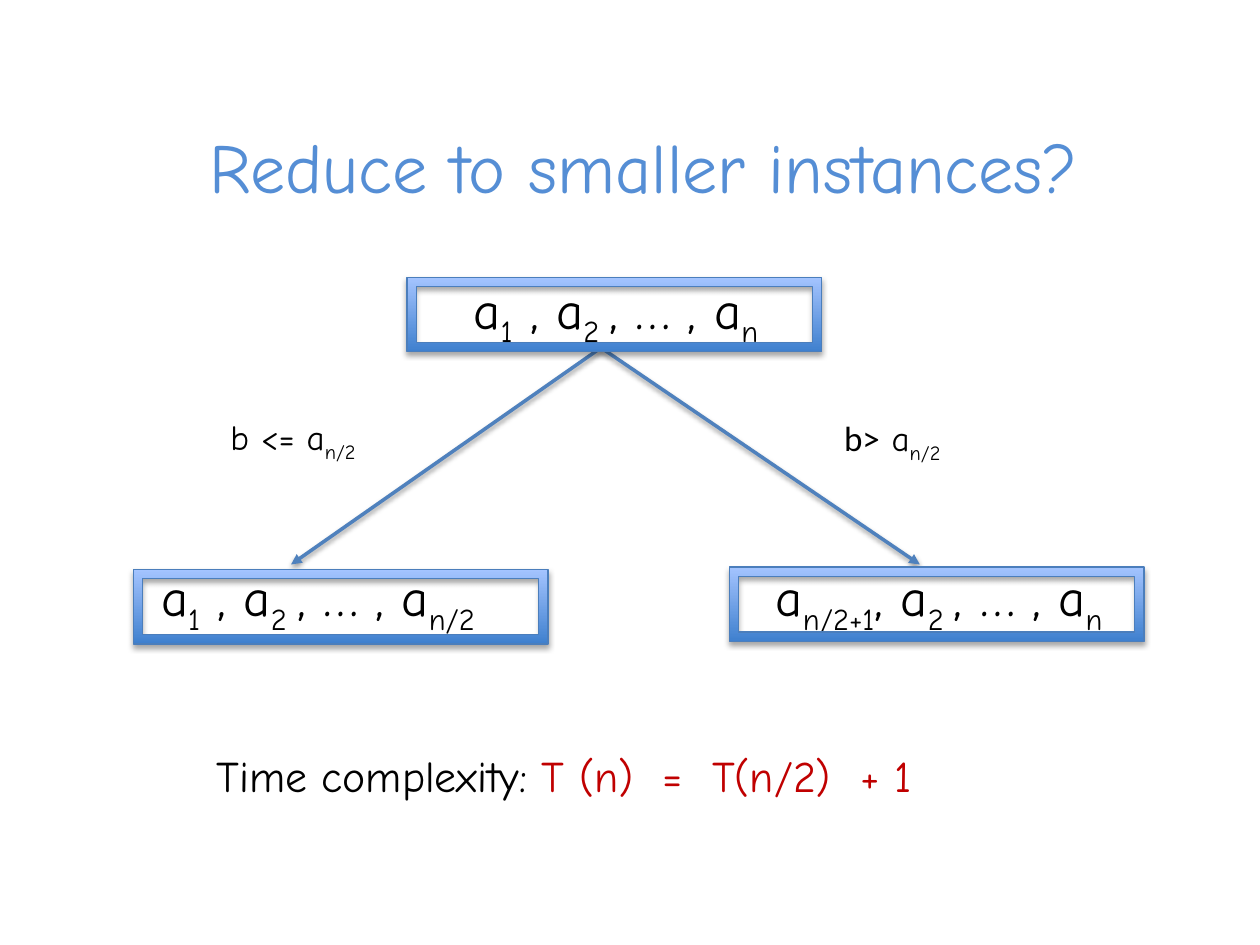
import pptx
import pptx.dml.color
import pptx.enum.shapes
import pptx.enum.text
import pptx.oxml
import pptx.oxml.ns
import pptx.util

COLUMNS, ROWS = 100, 75


def paint(code):
    """Turn a hex string into a colour."""
    return pptx.dml.color.RGBColor.from_string(code)


def write(para, text, size=30, font="Comic Neue", color="000000", sub=False):
    """Add a formatted span of text to a paragraph."""
    span = para.add_run()
    span.text = text
    span.font.size = pptx.util.Pt(size)
    span.font.name = font
    span.font.color.rgb = paint(color)
    if sub:
        span.font._element.set("baseline", "-25000")


def add_shadow(shape, distance, opacity):
    """Give a shape a soft black shadow that falls downward."""
    shape._element.spPr.append(pptx.oxml.parse_xml(
        f'<a:effectLst {pptx.oxml.ns.nsdecls("a")}>'
        f'<a:outerShdw blurRad="{pptx.util.Pt(3.1)}" dist="{pptx.util.Pt(distance)}" '
        f'dir="5400000" rotWithShape="0"><a:srgbClr val="000000">'
        f'<a:alpha val="{opacity * 1000}"/></a:srgbClr></a:outerShdw></a:effectLst>'))


class Board:
    """Hold the slide, its grid and its style."""

    def __init__(self, deck):
        """Add a title-only slide to the deck."""
        self.page = deck.slides.add_slide(deck.slide_layouts[5])
        self.column = deck.slide_width / COLUMNS
        self.row = deck.slide_height / ROWS

    def place(self, left, top, width, height):
        """Turn grid measures into slide lengths."""
        return (round(left * self.column), round(top * self.row),
                round(width * self.column), round(height * self.row))

    def title(self, text, *area):
        """Fill and move the title placeholder."""
        box = self.page.shapes.title
        box.left, box.top, box.width, box.height = self.place(*area)
        box.text_frame.vertical_anchor = pptx.enum.text.MSO_ANCHOR.MIDDLE
        para = box.text_frame.paragraphs[0]
        para.alignment = pptx.enum.text.PP_ALIGN.CENTER
        write(para, text, size=40, color="558ED5")

    def text(self, spans, *area, **style):
        """Add a text box made of (text, format) spans."""
        box = self.page.shapes.add_textbox(*self.place(*area))
        box.text_frame.word_wrap = True
        box.text_frame.auto_size = pptx.enum.text.MSO_AUTO_SIZE.SHAPE_TO_FIT_TEXT
        for text, extra in spans:
            write(box.text_frame.paragraphs[0], text, **{**style, **extra})

    def arrow(self, start, end):
        """Add a straight arrow between two grid points."""
        line = self.page.shapes.add_connector(
            pptx.enum.shapes.MSO_CONNECTOR.STRAIGHT, *self.place(*start, *end))
        line.line.color.rgb = paint("4F81BD")
        line.line.width = pptx.util.Pt(2)
        line.line._get_or_add_ln().append(pptx.oxml.parse_xml(
            f'<a:tailEnd {pptx.oxml.ns.nsdecls("a")} type="triangle"/>'))
        add_shadow(line, 1.6, 38)

    def frame(self, left, top):
        """Add a gradient frame of the common size."""
        shape = self.page.shapes.add_shape(
            pptx.enum.shapes.MSO_SHAPE.FRAME, *self.place(left, top, 32.9, 5.9))
        shape.fill.gradient()
        shape.fill.gradient_angle = 90
        for stop, color in zip(shape.fill.gradient_stops, ("3F80CE", "A4C4FF")):
            stop.color.rgb = paint(color)
        shape.line.color.rgb = paint("4B7EBC")
        shape.line.width = pptx.util.Pt(0.75)
        add_shadow(shape, 1.8, 35)


SUB = {"sub": True}
deck = pptx.Presentation()
deck.slide_width = pptx.util.Inches(10)
deck.slide_height = pptx.util.Inches(7.5)
board = Board(deck)
board.title("Reduce to smaller instances?", 12.5, 6.5, 77.2, 13.3)

lists = [("1", " , a", "n", 36.6, 21.5, 32.3, 22),
         ("1", " , a", "n/2", 11.8, 44.3, 10.6, 45.2),
         ("n/2+1", ", a", "n", 60.6, 44.3, 57.9, 45)]
for first, gap, last, left, top, _, _ in lists:
    board.text([("a", {}), (first, SUB), (gap, {}), ("2 ", SUB),
                (", … , a", {}), (last, SUB)], left, top, 33, 6.1)

for end in (23.1, 73):
    board.arrow((47.7, 27.6), (end, 44.8))

board.text([("b <= a", {}), ("n/2", SUB)], 17.3, 32.5, 19.5, 4.4, size=20)
board.text([("b>", {"font": "Calibri"}), (" a", {}), ("n/2", SUB)],
           66, 32.6, 16.2, 4.4, size=20)

for *_, left, top in lists:
    board.frame(left, top)

board.text([("Time complexity: ", {}), ("T (n)  =  T(n/2)  + 1", {"color": "C00000"})],
           16.2, 58.9, 63.5, 5.2, size=25)
deck.save("out.pptx")
